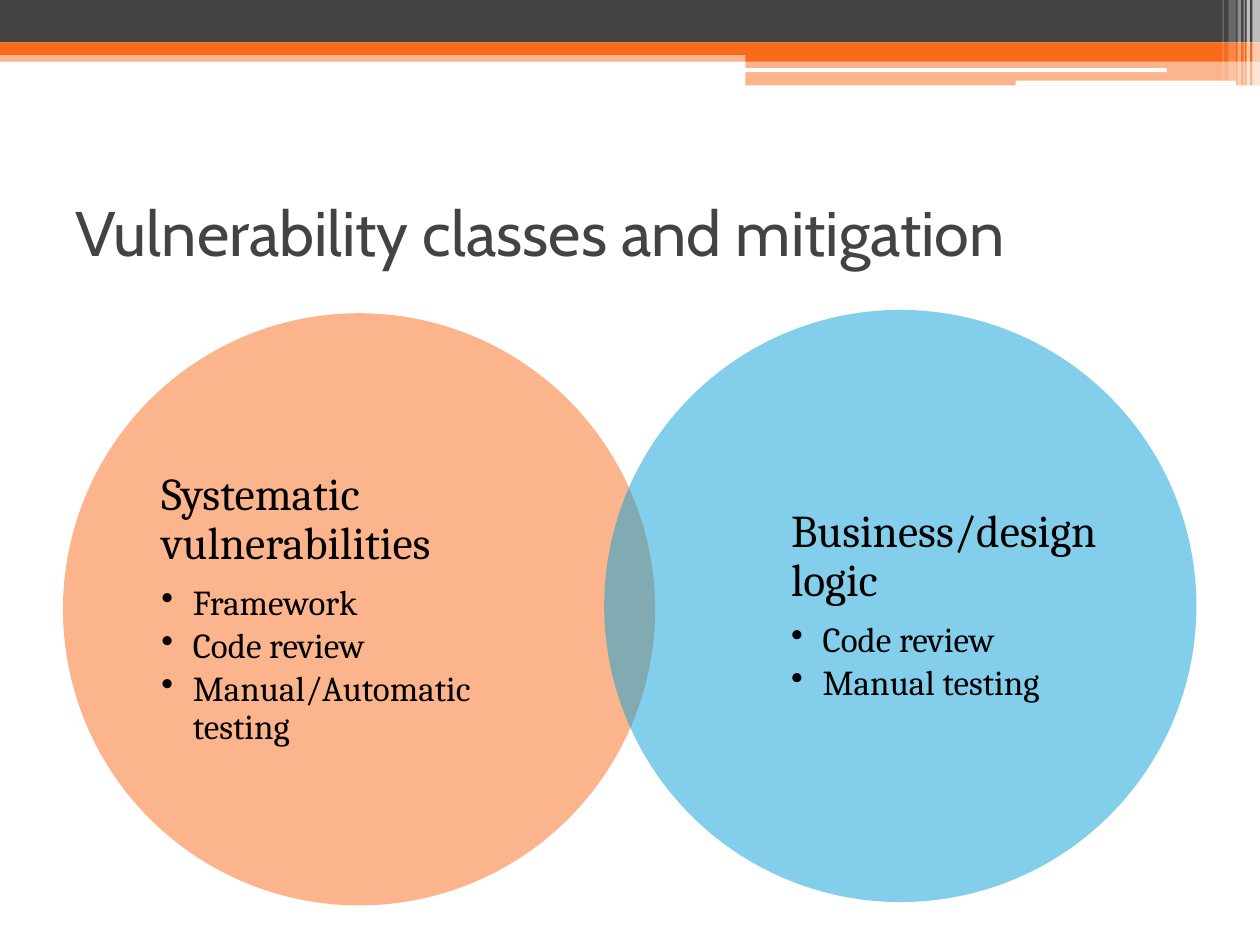
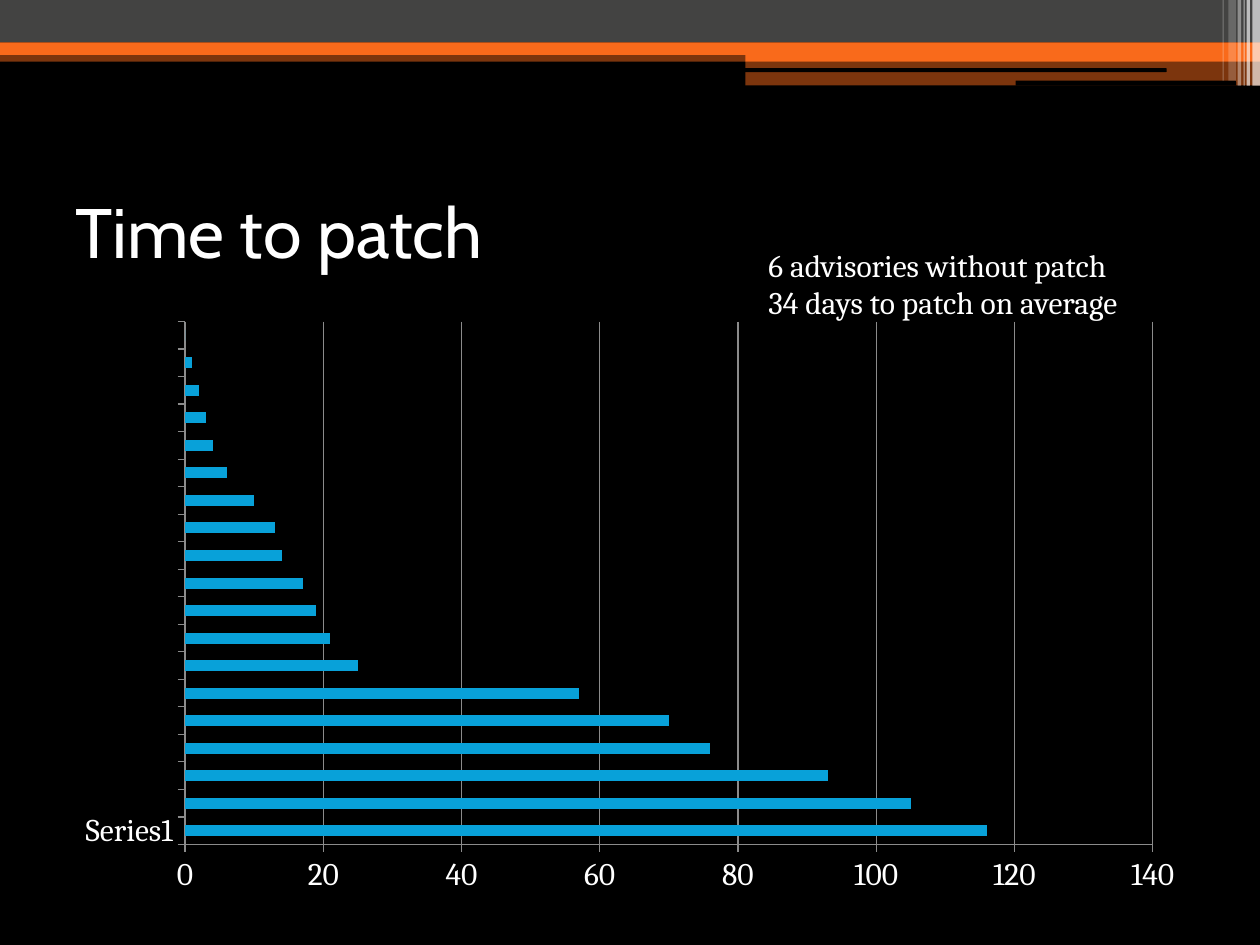
from lxml.etree import SubElement
from pptx import Presentation
from pptx.chart.data import CategoryChartData
from pptx.dml.color import RGBColor
from pptx.enum.chart import XL_CHART_TYPE as ChartType, XL_TICK_MARK as TickMark
from pptx.enum.shapes import MSO_SHAPE as Shape
from pptx.enum.text import MSO_ANCHOR as Anchor, MSO_AUTO_SIZE as AutoSize, PP_ALIGN as Align
from pptx.oxml.ns import qn
from pptx.util import Pt

COLORS = {
    "white": "FFFFFF",
    "black": "000000",
    "gray": "434342",
    "orange": "F96A1B",
    "blue": "08A1D9",
    "axis": "8B8B8B",
}
TITLE_FONT, BODY_FONT = "Cabin", "Cambria"
TITLE_BOX = (36, 90, 648, 84)

# Header parts: left, top, width, height, colour, opacity in percent
BANDS = [
    (0, 28.8, 720, 6.5, "orange", 50),
    (0, 0, 720, 24.2, "gray", 100),
    (0, 24.2, 720, 7.2, "orange", 100),
    (426, 28, 294, 7.2, "orange", 100),
    (426, 35.2, 294, 13.6, "orange", 50),
]
SLITS = [(425.5, 39, 241.2, 2.2), (580.3, 46.1, 126, 2.9)]
# Stripes at the right edge: left, width, height, opacity in percent
STRIPES = [
    (715.6, 4.4, 49, 65),
    (712.3, 2, 49, 65),
    (710.6, 0.7, 49, 60),
    (707.2, 2, 49, 40),
    (702, 4.3, 46.1, 20),
    (698.6, 0.7, 46.1, 30),
]

CIRCLE_SIZE = 338.4
CIRCLES = [
    # left, top, colour, text left, heading, measures
    (36, 179, "orange", 92.2, "Systematic vulnerabilities",
     ["Framework", "Code review", "Manual/Automatic testing"]),
    (345.3, 177.1, "blue", 452.1, "Business/design logic",
     ["Code review", "Manual testing"]),
]
LABEL_WIDTH, LABEL_HEIGHT, LABEL_DROP = 195.2, 258.5, 39.8

DAYS_TO_PATCH = [116, 105, 93, 76, 70, 57, 25, 21, 19, 17, 14, 13, 10, 6, 4, 3, 2, 1, 0]


def rgb(color):
    return RGBColor.from_string(COLORS[color])


def apply(target, formats):
    for name, value in formats.items():
        setattr(target, name, value)


class Deck:
    """Holds the presentation, the current slide and its colours."""

    def __init__(self):
        self.presentation = Presentation()
        apply(self.presentation, {"slide_width": Pt(720), "slide_height": Pt(540)})

    def add_slide(self, title, size, background, title_color):
        layout = self.presentation.slide_layouts[5]
        self.slide = self.presentation.slides.add_slide(layout)
        fill = self.slide.background.fill
        fill.solid()
        fill.fore_color.rgb = rgb(background)
        self.header(background)
        self.title(title, size, title_color)

    def header(self, background):
        for *box, color, opacity in BANDS:
            self.shape(Shape.RECTANGLE, box, color, opacity)
        for box in SLITS:
            self.shape(Shape.ROUNDED_RECTANGLE, box, background)
        for left, width, height, opacity in STRIPES:
            self.shape(Shape.RECTANGLE, (left, 0, width, height), "white", opacity)

    def title(self, text, size, color):
        title = self.slide.shapes.title
        apply(title, dict(zip(("left", "top", "width", "height"), map(Pt, TITLE_BOX))))
        apply(title.text_frame, {"auto_size": AutoSize.NONE, "vertical_anchor": Anchor.MIDDLE})
        paragraph = title.text_frame.paragraphs[0]
        paragraph.alignment = Align.LEFT
        self.run(paragraph, text, size, color, TITLE_FONT)

    def shape(self, kind, box, color, opacity=100):
        shape = self.slide.shapes.add_shape(kind, *map(Pt, box))
        shape.shadow.inherit = False
        shape.line.fill.background()
        shape.fill.solid()
        shape.fill.fore_color.rgb = rgb(color)
        if opacity < 100:
            fill_color = shape.fill._xPr.find(".//" + qn("a:srgbClr"))
            SubElement(fill_color, qn("a:alpha"), val=str(opacity * 1000))

    def run(self, paragraph, text, size, color, font=BODY_FONT):
        run = paragraph.add_run()
        run.text = text
        apply(run.font, {"name": font, "size": Pt(size)})
        run.font.color.rgb = rgb(color)

    def text_box(self, box, lines, color, frame_formats):
        """Add lines given as (text, size, paragraph formats, bulleted)."""
        frame = self.slide.shapes.add_textbox(*map(Pt, box)).text_frame
        apply(frame, {"word_wrap": True, **frame_formats})
        for index, (text, size, formats, bulleted) in enumerate(lines):
            paragraph = frame.add_paragraph() if index else frame.paragraphs[0]
            if bulleted:
                self.bullet(paragraph)
            apply(paragraph, formats)
            self.run(paragraph, text, size, color)

    def bullet(self, paragraph):
        properties = paragraph._p.get_or_add_pPr()
        properties.set("marL", str(Pt(18)))
        properties.set("indent", str(-Pt(18)))
        SubElement(properties, qn("a:buChar"), char="•")

    def bar_chart(self, box, categories, name, values, color):
        data = CategoryChartData()
        data.categories = categories
        data.add_series(name, values)
        frame = self.slide.shapes.add_chart(ChartType.BAR_CLUSTERED, *map(Pt, box), data)
        chart = frame.chart
        apply(chart, {"has_legend": False, "has_title": False})
        apply(chart.font, {"name": BODY_FONT, "size": Pt(18)})
        chart.font.color.rgb = rgb("white")
        plot = chart.plots[0]
        apply(plot, {"gap_width": 150, "vary_by_categories": False})
        fill = plot.series[0].format.fill
        fill.solid()
        fill.fore_color.rgb = rgb(color)
        chart.category_axis.has_major_gridlines = False
        chart.value_axis.has_major_gridlines = True
        apply(chart.value_axis, {"minimum_scale": 0, "maximum_scale": 140, "major_unit": 20})
        for axis in (chart.category_axis, chart.value_axis):
            apply(axis, {"major_tick_mark": TickMark.OUTSIDE, "minor_tick_mark": TickMark.NONE})
        for part in (chart.category_axis, chart.value_axis, chart.value_axis.major_gridlines):
            part.format.line.color.rgb = rgb("axis")
            part.format.line.width = Pt(0.75)


def add_mitigation_slide(deck):
    deck.add_slide("Vulnerability classes and mitigation", 36, "white", "gray")
    margins = dict.fromkeys(("margin_left", "margin_top", "margin_right", "margin_bottom"), 0)
    heading_formats = {"line_spacing": 0.9, "space_after": Pt(9.1)}
    measure_formats = {"line_spacing": 0.9, "space_after": Pt(3)}
    for left, top, color, text_left, heading, measures in CIRCLES:
        deck.shape(Shape.OVAL, (left, top, CIRCLE_SIZE, CIRCLE_SIZE), color, 50)
        lines = [(heading, 26, heading_formats, False)]
        lines += [(measure, 20, measure_formats, True) for measure in measures]
        deck.text_box((text_left, top + LABEL_DROP, LABEL_WIDTH, LABEL_HEIGHT), lines,
                      "black", {**margins, "vertical_anchor": Anchor.MIDDLE})


def add_patch_time_slide(deck):
    deck.add_slide("Time to patch", 40, "black", "white")
    categories = ["Series1"] + [""] * (len(DAYS_TO_PATCH) - 1)
    deck.bar_chart((36, 177, 648, 340.5), categories, "Series 1", DAYS_TO_PATCH, "blue")
    summary = ["6 advisories without patch", "34 days to patch on average"]
    deck.text_box((432, 136.8, 240, 51), [(text, 18, {}, False) for text in summary],
                  "white", {"auto_size": AutoSize.SHAPE_TO_FIT_TEXT})


def main():
    deck = Deck()
    add_mitigation_slide(deck)
    add_patch_time_slide(deck)
    deck.presentation.save("out.pptx")


if __name__ == "__main__":
    main()
